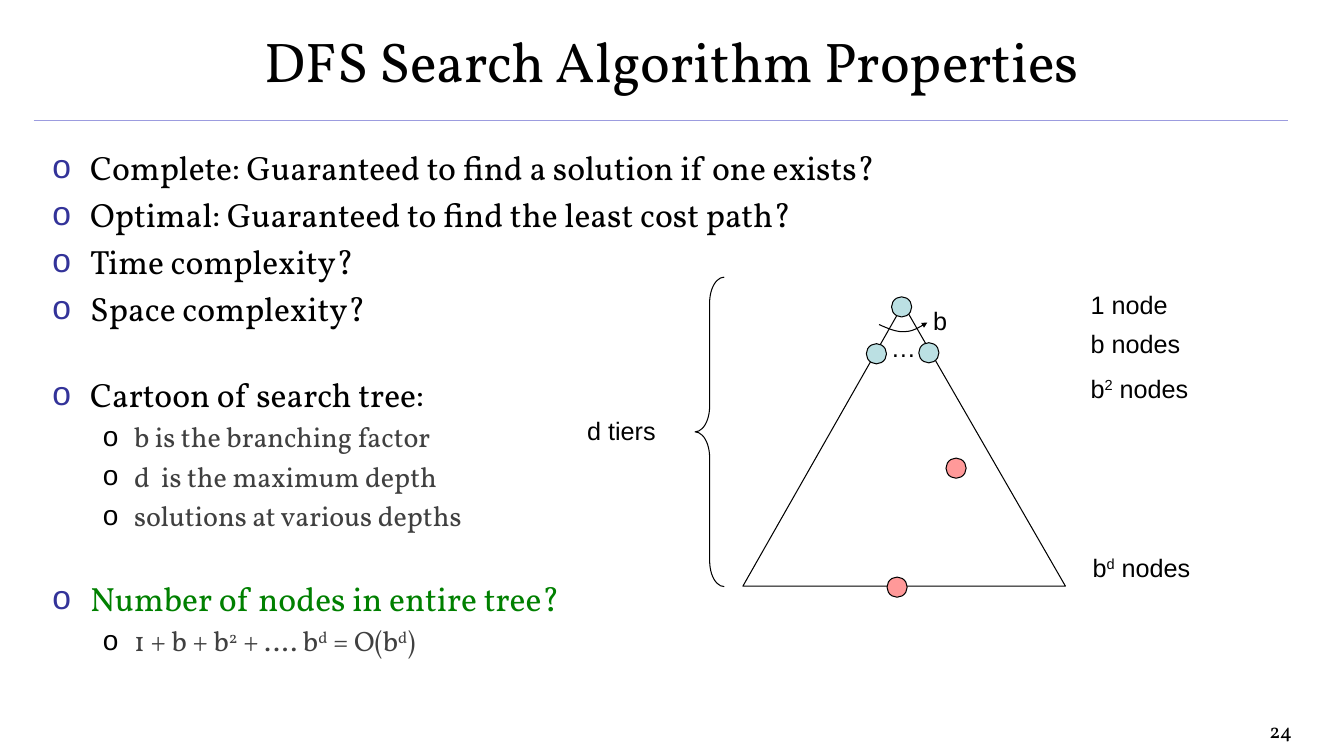
from lxml import etree
from pptx import Presentation
from pptx.dml.color import RGBColor
from pptx.enum.shapes import MSO_CONNECTOR, MSO_SHAPE
from pptx.enum.text import MSO_ANCHOR, MSO_AUTO_SIZE, PP_ALIGN
from pptx.oxml.ns import qn
from pptx.util import Inches, Pt

OVAL, BRACE = MSO_SHAPE.OVAL, MSO_SHAPE.LEFT_BRACE
LINE = MSO_CONNECTOR.STRAIGHT
MIDDLE, TOP = MSO_ANCHOR.MIDDLE, MSO_ANCHOR.TOP
CENTER, RIGHT = PP_ALIGN.CENTER, PP_ALIGN.RIGHT
FIXED = MSO_AUTO_SIZE.NONE

BLACK = RGBColor(0, 0, 0)
GRAY = RGBColor(0x40, 0x40, 0x40)
GREEN = RGBColor(0, 0x80, 0)
NAVY = RGBColor(0x33, 0x33, 0x99)
LILAC = RGBColor(0x9C, 0x9C, 0xDF)
BLUE = RGBColor(0xBB, 0xE0, 0xE3)
PINK = RGBColor(0xFF, 0x99, 0x99)
SERIF, SANS = "Vollkorn", "Arial"
CELL = Inches(0.1)


def grid(*cells):
    return [round(CELL * n) for n in cells]


def write(para, text, size, face, color):
    for i, part in enumerate(text.split("^")):
        if not part:
            continue
        run = para.add_run()
        run.text = part
        font = run.font
        font.size, font.name = Pt(size), face
        font.color.rgb = color
        if i % 2:
            run._r.get_or_add_rPr().set("baseline", "30000")


deck = Presentation()
deck.slide_width, deck.slide_height = grid(133.33, 75)
slide = deck.slides.add_slide(deck.slide_layouts[1])
shapes = slide.shapes

title, body = shapes.title, slide.placeholders[1]
number = shapes.add_textbox(*grid(105.6, 70.8, 23.3, 3.2))
title.left, title.top, title.width, title.height = grid(0, -0.3, 133.33, 12.5)
body.left, body.top, body.width, body.height = grid(4.5, 14.2, 124.4, 51.7)
for box, anchor in ((title, MIDDLE), (body, TOP), (number, TOP)):
    frame = box.text_frame
    frame.word_wrap, frame.auto_size = True, FIXED
    frame.vertical_anchor = anchor
    frame.margin_left, frame.margin_top = grid(0.7, 0.4)
    frame.margin_right, frame.margin_bottom = grid(0.7, 0.4)

head = title.text_frame.paragraphs[0]
head.alignment = CENTER
write(head, "DFS Search Algorithm Properties", 40, SERIF, BLACK)
page = number.text_frame.paragraphs[0]
page.alignment = RIGHT
write(page, "24", 14.7, SERIF, BLACK)

rule = shapes.add_connector(LINE, *grid(3.35, 11.95, 127.8, 11.95))
rule.line.color.rgb, rule.line.width = LILAC, Pt(1)
etree.SubElement(rule._element.spPr, qn("a:effectLst"))

points = [
    (0, "Complete: Guaranteed to find a solution if one exists?", BLACK, 0),
    (0, "Optimal: Guaranteed to find the least cost path?", BLACK, 4.7),
    (0, "Time complexity?", BLACK, 4.7),
    (0, "Space complexity?", BLACK, 4.7),
    (0, "Cartoon of search tree:", BLACK, 32.6),
    (1, "b is the branching factor", GRAY, 4),
    (1, "d  is the maximum depth", GRAY, 4.2),
    (1, "solutions at various depths", GRAY, 4.2),
    (0, "Number of nodes in entire tree?", GREEN, 32.6),
    (1, "1 + b + b^2^ + …. b^d^ = O(b^d^)", GRAY, 4),
]
styles = [(24, NAVY, 3.75, -3.75), (20, BLACK, 8.1, -3.1)]
frame = body.text_frame
for i, (level, text, color, gap) in enumerate(points):
    size, tint, left, hang = styles[level]
    para = frame.add_paragraph() if i else frame.paragraphs[0]
    para.level = level
    props = para._p.get_or_add_pPr()
    margin, indent = grid(left, hang)
    props.set("marL", str(margin))
    props.set("indent", str(indent))
    shade = etree.SubElement(props, qn("a:buClr"))
    etree.SubElement(shade, qn("a:srgbClr"), val=str(tint))
    etree.SubElement(props, qn("a:buFont"), typeface=SANS)
    etree.SubElement(props, qn("a:buChar"), char="o")
    para.space_before = Pt(gap)
    write(para, text, size, SERIF, color)

pen = shapes.build_freeform(*grid(73.7, 58.15))
pen.add_line_segments([grid(105.7, 58.15), grid(89.6, 30.2)], close=True)
tree = pen.convert_to_shape()

curves = [
    ((87.2, 32.2), (88.1, 32.6), (89, 33), (89.8, 32.9)),
    ((89.8, 32.9), (90.6, 32.9), (91.3, 32.4), (92, 32)),
]
steps = 8
trail = []
for curve in curves:
    for k in range(1, steps + 1):
        t = k / steps
        u = 1 - t
        parts = (u**3, 3 * u * u * t, 3 * u * t * t, t**3)
        trail.append(grid(*(sum(f * p[a] for f, p in zip(parts, curve))
                            for a in (0, 1))))
pen = shapes.build_freeform(*grid(*curves[0][0]))
pen.add_line_segments(trail, close=False)
arc = pen.convert_to_shape()

brace = shapes.add_shape(BRACE, *grid(68.95, 27.5, 2.9, 30.7))
brace.adjustments[0], brace.adjustments[1] = 0.88, 0.5
for shape in (tree, arc, brace):
    shape.fill.background()

nodes = []
for x, y, color in ((88.45, 29.45, BLUE), (85.95, 34.1, BLUE),
                    (91.15, 34, BLUE), (88, 57.25, PINK),
                    (93.85, 45.45, PINK)):
    node = shapes.add_shape(OVAL, *grid(x, y, 2, 2))
    node.fill.solid()
    node.fill.fore_color.rgb = color
    nodes.append(node)

for shape in [tree, arc, brace] + nodes:
    shape.shadow.inherit = False
    shape.line.color.rgb, shape.line.width = BLACK, Pt(0.75)
etree.SubElement(arc.line._get_or_add_ln(), qn("a:tailEnd"),
                 type="triangle", w="sm", len="sm")

labels = [
    ("…", 87.4, 32.5, 3), ("b", 91.6, 29.8, 3.3),
    ("1 node", 107.2, 28.2, 12.2), ("b nodes", 107.2, 32.05, 12.2),
    ("b^2^ nodes", 107.2, 36.5, 12.2), ("b^d^ nodes", 107.4, 54.3, 16),
    ("d tiers", 57.25, 40.7, 13.8),
]
for text, x, y, wide in labels:
    label = shapes.add_textbox(*grid(x, y, wide, 4)).text_frame
    label.word_wrap = True
    write(label.paragraphs[0], text, 18, SANS, BLACK)

deck.save("out.pptx")
